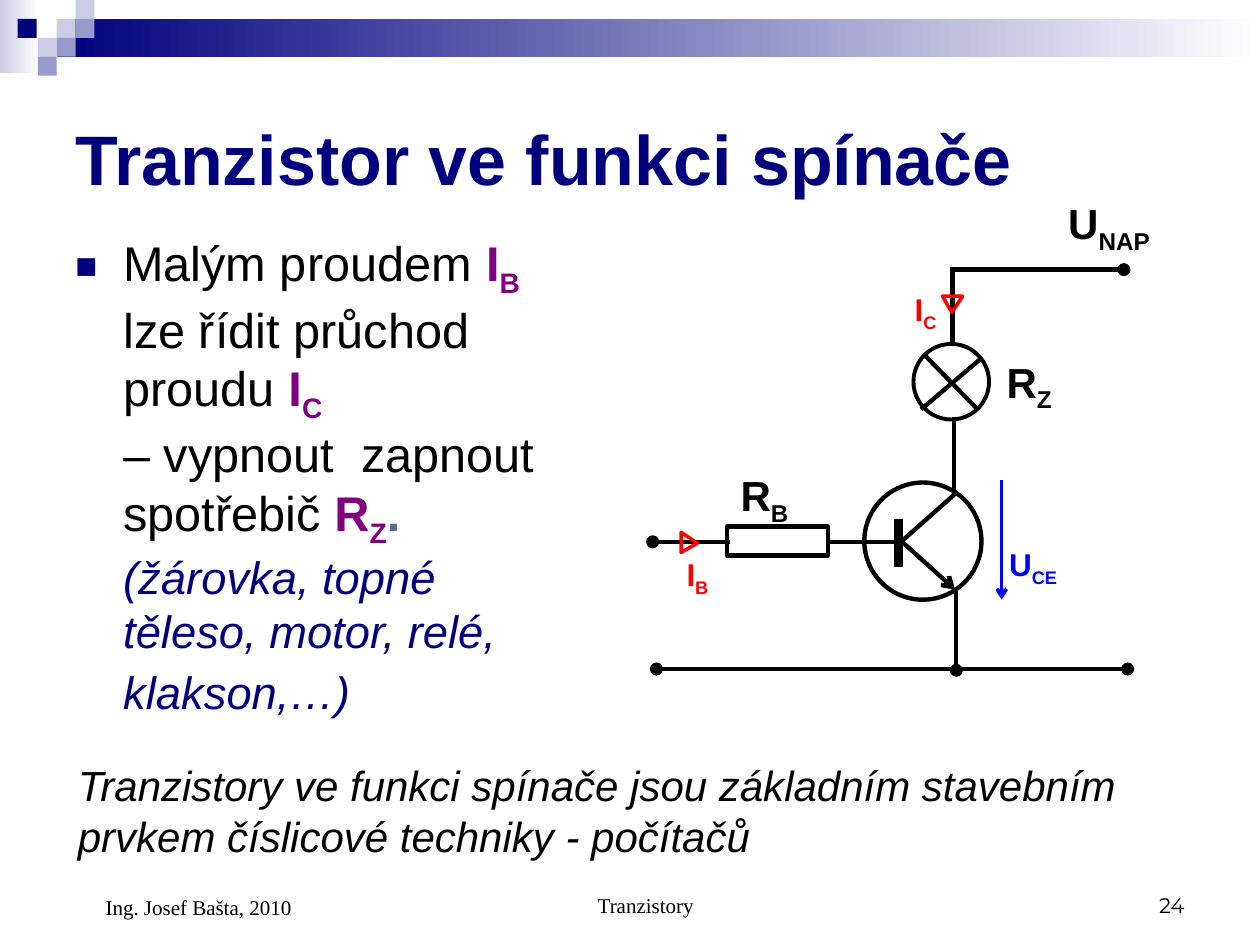
import lxml.etree
import pptx
import pptx.util
import pptx.dml.color
import pptx.enum.shapes
import pptx.enum.text
import pptx.oxml.ns

PX = 9144
KIND = pptx.enum.shapes.MSO_SHAPE
ALIGN = pptx.enum.text.PP_ALIGN
ANCHOR = pptx.enum.text.MSO_ANCHOR


class Theme:
    navy, pale, mid, white = "00007D", "CCCCE6", "9999CC", "FFFFFF"
    black, red, blue = "000000", "FF0000", "0000FF"
    plum, slate = "800080", "666699"
    sans, serif, round = "Arial", "Times New Roman", "Montserrat"
    title, body, aside, tail = 40, 27.8, 25.9, 29.6
    label, small, foot = 24, 18, 12
    wire, thin, thick = 2.5, 2, 5


def rgb(code):
    return pptx.dml.color.RGBColor.from_string(code)


def node(parent, tag, **attrs):
    item = lxml.etree.SubElement(parent, pptx.oxml.ns.qn(tag))
    for key, value in attrs.items():
        item.set(key, str(value))
    return item


def place(box, x, y, w, h):
    return [v * PX for v in (box[0] + x, box[1] + y, w, h)]


def text(canvas, box, runs, size=Theme.label, font=Theme.sans, color=Theme.black,
         bold=False, italic=False, align=ALIGN.LEFT, anchor=ANCHOR.TOP,
         before=0, margin=0, indent=0, bullet=None, grow=False):
    frame = canvas.shapes.add_textbox(*place((0, 0), *box)).text_frame
    frame.word_wrap = True
    frame.vertical_anchor = anchor
    auto = pptx.enum.text.MSO_AUTO_SIZE
    frame.auto_size = auto.SHAPE_TO_FIT_TEXT if grow else auto.NONE
    para = frame.paragraphs[0]
    para.alignment = align
    para.space_before = pptx.util.Pt(before)
    props = para._p.get_or_add_pPr()
    props.set("marL", str(margin * PX))
    props.set("indent", str(indent * PX))
    if bullet:
        node(node(props, "a:buClr"), "a:srgbClr", val=bullet)
        node(props, "a:buSzPct", val=75000)
        node(props, "a:buFont", typeface=font)
        node(props, "a:buChar", char="■")
    for words, style in ([(runs, {})] if isinstance(runs, str) else runs):
        run = para.add_run()
        run.text = words.rstrip("\n")
        run.font.name = font
        run.font.size = pptx.util.Pt(style.get("size", size))
        run.font.bold = style.get("bold", bold)
        run.font.italic = style.get("italic", italic)
        run.font.color.rgb = rgb(style.get("color", color))
        if style.get("sub"):
            run.font._element.set("baseline", "-25000")
        if words.endswith("\n"):
            para.add_line_break()


def shape(canvas, box, kind, fill=None, line=None, width=Theme.wire, turn=0):
    item = canvas.shapes.add_shape(kind, *box)
    item.shadow.inherit = False
    item.rotation = turn
    if isinstance(fill, tuple):
        item.fill.gradient()
        item.fill.gradient_angle = 0
        for stop, code in zip(item.fill.gradient_stops, fill):
            stop.color.rgb = rgb(code)
            stop.position = fill.index(code)
    elif fill:
        item.fill.solid()
        item.fill.fore_color.rgb = rgb(fill)
    else:
        item.fill.background()
    if line:
        item.line.color.rgb = rgb(line)
        item.line.width = pptx.util.Pt(width)
    else:
        item.line.fill.background()
    return item


def wire(canvas, box, ends, color=Theme.black, width=Theme.wire, head=None, tail=None):
    spots = [(box[i % 2] + v) * PX for i, v in enumerate(ends)]
    item = canvas.shapes.add_connector(pptx.enum.shapes.MSO_CONNECTOR.STRAIGHT, *spots)
    item.line.color.rgb = rgb(color)
    item.line.width = pptx.util.Pt(width)
    line = item.line._get_or_add_ln()
    for tag, mark in (("a:headEnd", head), ("a:tailEnd", tail)):
        if mark:
            node(line, tag, type=mark)
    node(item._element.spPr, "a:effectLst")


def banner(slide, box):
    shape(slide, place(box, 0, 0, 31, 58), KIND.RECTANGLE, (Theme.pale, Theme.white))
    shape(slide, place(box, 45, 15, 955, 30), KIND.RECTANGLE, (Theme.navy, Theme.white))
    for x, y, color in ((45, 15, Theme.pale), (60, 0, Theme.pale), (60, 15, Theme.mid),
                        (30, 30, Theme.pale), (14, 15, Theme.navy),
                        (45, 30, Theme.mid), (30, 45, Theme.mid)):
        shape(slide, place(box, x, y, 15, 15), KIND.RECTANGLE, color)


def body(slide, box):
    key = dict(color=Theme.plum, bold=True)
    low = dict(key, sub=True)
    runs = [
        ("Malým proudem ", {}), ("I", key), ("B", low),
        (" lze řídit průchod proudu ", {}), ("I", key), ("C \n", low),
        ("– vypnout  zapnout spotřebič ", {}), ("R", key), ("Z", low),
        (".\n", dict(color=Theme.slate, bold=True)),
        ("(žárovka, topné těleso, motor, relé, klakson,…)",
         dict(size=Theme.aside, color=Theme.navy, italic=True)),
        (" ", dict(size=Theme.tail, sub=True)),
    ]
    text(slide, box, runs, size=Theme.body, before=8, margin=38, indent=-38,
         bullet=Theme.navy)


def circuit(slide, box):
    group = slide.shapes.add_group_shape()
    shape(group, place(box, 59, 266, 80, 23), KIND.RECTANGLE, line=Theme.black)
    shape(group, place(box, 168, 231, 93, 93), KIND.OVAL, line=Theme.black)
    shape(group, place(box, 207, 121, 60, 60), KIND.OVAL, line=Theme.black, width=2.25)
    for ends, style in (
        ((3, 379, 377, 379), dict(head="oval", tail="oval")),
        ((237, 62, 374, 62), dict(tail="oval")),
        ((0, 278, 61, 278), dict(head="oval")),
        ((139, 278, 194, 278), {}),
        ((241, 380, 241, 316), dict(head="oval")),
        ((239, 238, 239, 179), {}),
        ((238, 121, 238, 60), {}),
        ((195, 260, 195, 298), dict(width=Theme.thick)),
        ((196, 279, 240, 240), {}),
        ((198, 278, 240, 316), dict(tail="arrow")),
        ((258, 173, 215, 129), {}),
        ((260, 133, 213, 173), {}),
        ((277, 229, 277, 324), dict(color=Theme.blue, width=Theme.thin, tail="arrow")),
    ):
        wire(group, box, ends, **style)
    for x, y, turn in ((21, 272, 90), (230, 83, 180)):
        mark = shape(group, place(box, x, y, 16, 13), KIND.ISOSCELES_TRIANGLE,
                     line=Theme.red, width=Theme.thin, turn=turn)
        mark.adjustments[0] = 0.54
    big = dict(size=Theme.label, before=15)
    small = dict(size=Theme.small, before=11.2)
    for x, y, w, h, name, low, color, style in (
        (198, 73, 42, 44, "I", "C", Theme.red, small),
        (17, 284, 42, 44, "I", "B", Theme.red, small),
        (273, 276, 68, 44, "U", "CE", Theme.blue, small),
        (320, 0, 97, 56, "U", "NAP", Theme.black, big),
        (60, 216, 70, 56, "R", "B", Theme.black, big),
        (271, 126, 70, 56, "R", "Z", Theme.black, big),
    ):
        text(group, (box[0] + x, box[1] + y, w, h), [(name, {}), (low, dict(sub=True))],
             color=color, bold=True, grow=True, **style)


def footer(slide, box):
    x, y = box[:2]
    base = dict(size=Theme.foot, anchor=ANCHOR.BOTTOM)
    text(slide, (x + 292, y, 317, 50), "Tranzistory", font=Theme.serif,
         align=ALIGN.CENTER, margin=24, **base)
    text(slide, (x + 667, y, 233, 50), "24", font=Theme.round, align=ALIGN.RIGHT, **base)
    text(slide, (x, y, 233, 52), "Ing. Josef Bašta, 2010", font=Theme.serif,
         margin=24, **base)


def main():
    deck = pptx.Presentation()
    deck.slide_width, deck.slide_height = 1000 * PX, 750 * PX
    slide = deck.slides.add_slide(deck.slide_layouts[6])
    banner(slide, (0, 0, 1000, 60))
    text(slide, (50, 50, 900, 150), "Tranzistor ve funkci spínače", size=Theme.title,
         color=Theme.navy, bold=True, anchor=ANCHOR.MIDDLE)
    body(slide, (50, 180, 416, 407))
    circuit(slide, (518, 152, 417, 390))
    text(slide, (52, 598, 903, 90),
         "Tranzistory ve funkci spínače jsou základním stavebním "
         "prvkem číslicové techniky - počítačů",
         italic=True, before=15, grow=True)
    footer(slide, (50, 683, 900, 52))
    deck.save("out.pptx")


if __name__ == "__main__":
    main()
